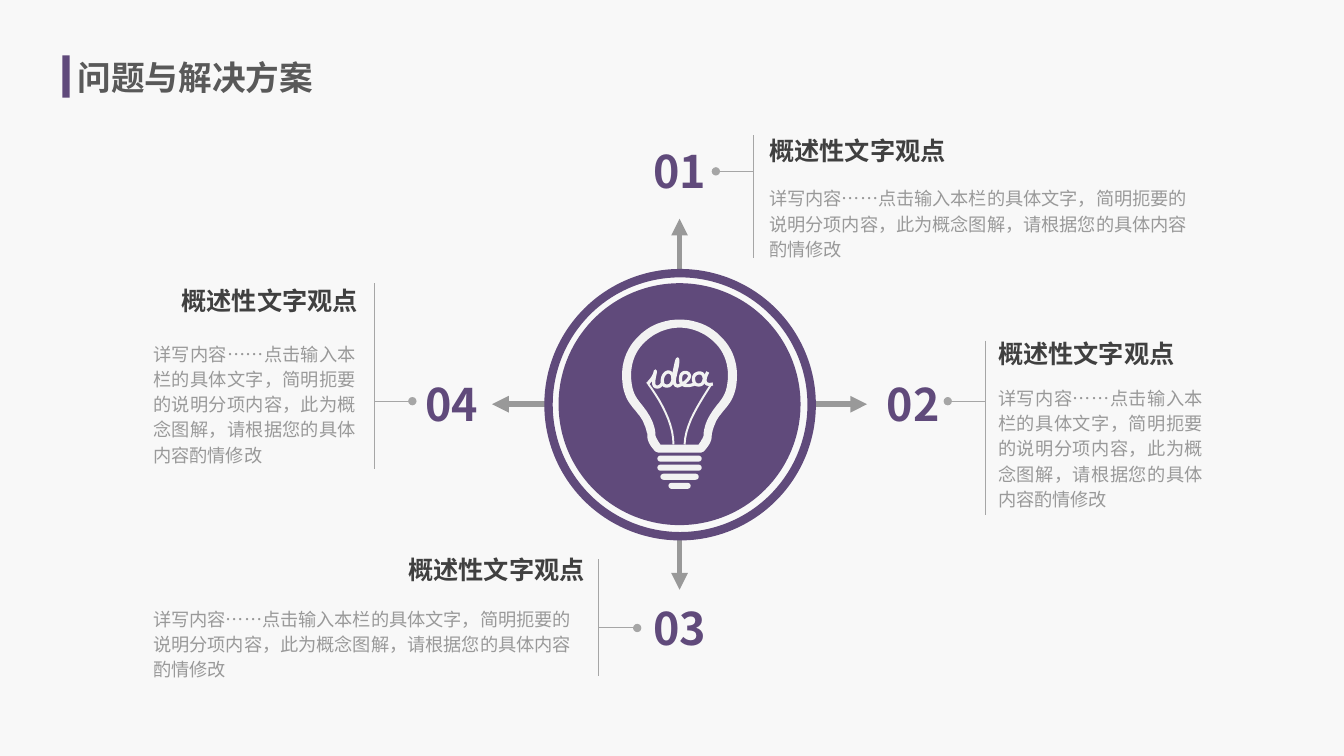
from lxml.etree import SubElement
from pptx import Presentation
from pptx.dml.color import RGBColor
from pptx.enum.shapes import MSO_CONNECTOR, MSO_SHAPE
from pptx.enum.text import MSO_ANCHOR, MSO_AUTO_SIZE, PP_ALIGN
from pptx.oxml.ns import qn
from pptx.util import Inches, Pt

FONT = "Noto Sans CJK SC"
COLOURS = {name: RGBColor.from_string(value) for name, value in {
    "background": "F8F8F8", "purple": "604A7B", "arrow": "999999",
    "rule": "A6A6A6", "heading": "404040", "body": "999999",
    "title": "595959", "bulb": "F2F2F2"}.items()}
FORMATS = {
    "title": {"size": Pt(24), "bold": True},
    "heading": {"size": Pt(18), "bold": True},
    "body": {"size": Pt(13), "bold": False},
    "purple": {"size": Pt(32), "bold": True}}
HEADING = "概述性文字观点"
BODY = "详写内容……点击输入本栏的具体文字，简明扼要的说明分项内容，此为概念图解，请根据您的具体内容酌情修改"
CENTRE_X, CENTRE_Y = 6.74, 4.01
UNITS = 1000  # freeform units per inch; freeform points are whole numbers

presentation = Presentation()
presentation.slide_width, presentation.slide_height = Inches(13.33), Inches(7.5)
slide = presentation.slides.add_slide(presentation.slide_layouts[5])
slide.background.fill.solid()
slide.background.fill.fore_color.rgb = COLOURS["background"]
shapes = slide.shapes


def write(shape, text, style, align=PP_ALIGN.LEFT, margin=0, anchor=MSO_ANCHOR.TOP):
    """Fill a text shape with one formatted paragraph."""
    frame = shape.text_frame
    for side in ("left", "top", "right", "bottom"):
        setattr(frame, f"margin_{side}", Inches(margin))
    frame.word_wrap = True
    frame.auto_size = MSO_AUTO_SIZE.SHAPE_TO_FIT_TEXT
    frame.vertical_anchor = anchor
    paragraph = frame.paragraphs[0]
    paragraph.alignment = align
    if style == "body":
        paragraph.line_spacing = Pt(18)
    run = paragraph.add_run()
    run.text = text
    run.font.name = FONT
    run.font.color.rgb = COLOURS[style]
    for name, value in FORMATS[style].items():
        setattr(run.font, name, value)
    SubElement(run.font._element, qn("a:ea"), typeface=FONT)


def bezier_points(start, curves, steps=10):
    """Sample a chain of cubic curves, each (control, control, end)."""
    points = [start]
    for first, second, end in curves:
        for step in range(1, steps + 1):
            t = step / steps
            weights = ((1 - t) ** 3, 3 * t * (1 - t) ** 2, 3 * t * t * (1 - t), t ** 3)
            points.append(tuple(sum(w * p[axis] for w, p in zip(weights, (start, first, second, end)))
                                for axis in (0, 1)))
        start = end
    return points


# Title
title = shapes.title
title.left, title.top, title.width, title.height = map(Inches, (0.72, 0.51, 4.23, 0.5))
write(title, "问题与解决方案", "title", margin=0.05, anchor=MSO_ANCHOR.MIDDLE)

# Arrows from the ring, then the rules beside each text block
lines = [(CENTRE_X + dx * 1.32, CENTRE_Y + dy * 1.32, CENTRE_X + dx * 1.86, CENTRE_Y + dy * 1.84,
          "arrow", 4, "triangle") for dx, dy in ((0, -1), (1, 0), (0, 1), (-1, 0))]
for rule_x, rule_top, rule_bottom, dot_x, dot_y in (
        (7.47, 1.34, 2.56, 7.1, 1.7), (9.77, 3.38, 5.11, 9.4, 3.98),
        (5.94, 5.55, 6.71, 6.32, 6.23), (3.71, 2.81, 4.65, 4.09, 3.98)):
    lines.append((rule_x, rule_top, rule_x, rule_bottom, "rule", 0.75, None))
    lines.append((rule_x, dot_y, dot_x, dot_y, "rule", 0.75, "oval"))
for *ends, colour, width, arrowhead in lines:
    connector = shapes.add_connector(MSO_CONNECTOR.STRAIGHT, *map(Inches, ends))
    connector.line.color.rgb = COLOURS[colour]
    connector.line.width = Pt(width)
    if arrowhead:
        SubElement(connector.line._get_or_add_ln(), qn("a:tailEnd"), type=arrowhead)
    SubElement(connector._element.spPr, qn("a:effectLst"))

# Ring, disc, title bar and the screw base of the bulb
ring = shapes.add_shape(MSO_SHAPE.OVAL, *map(Inches, (5.44, 2.71, 2.61, 2.61)))
ring.shadow.inherit = False
ring.fill.background()
ring.line.color.rgb = COLOURS["purple"]
ring.line.width = Pt(6)
solids = [(MSO_SHAPE.OVAL, 5.54, 2.81, 2.4, 2.4, "purple"),
          (MSO_SHAPE.RECTANGLE, 0.62, 0.55, 0.07, 0.42, "purple")]
for row, width in enumerate((0.44, 0.44, 0.38, 0.22)):
    solids.append((MSO_SHAPE.ROUNDED_RECTANGLE, CENTRE_X - width / 2, 4.52 + row * 0.09,
                   width, 0.06, "bulb"))
for kind, *box, colour in solids:
    solid = shapes.add_shape(kind, *map(Inches, box))
    solid.shadow.inherit = False
    solid.fill.solid()
    solid.fill.fore_color.rgb = COLOURS[colour]
    solid.line.fill.background()
    if kind == MSO_SHAPE.ROUNDED_RECTANGLE:
        solid.adjustments[0] = 0.5

# Glass: right half of each contour, mirrored about the centre
glass_halves = (
    ((0, 3.17), (((.16, 3.17), (.3, 3.23), (.4, 3.33)), ((.51, 3.43), (.57, 3.57), (.57, 3.72)),
                 ((.57, 3.91), (.51, 3.99), (.44, 4.07)), ((.41, 4.11), (.37, 4.15), (.35, 4.21)),
                 ((.33, 4.25), (.33, 4.28), (.32, 4.3)), ((.32, 4.35), (.32, 4.39), (.24, 4.48)),
                 ((.23, 4.48), (.22, 4.49), (.21, 4.49)))),
    ((0, 3.25), (((.13, 3.25), (.26, 3.31), (.34, 3.39)), ((.43, 3.47), (.48, 3.59), (.48, 3.72)),
                 ((.48, 3.88), (.43, 3.95), (.37, 4.02)), ((.34, 4.06), (.3, 4.11), (.27, 4.18)),
                 ((.25, 4.23), (.24, 4.27), (.24, 4.3)), ((.24, 4.33), (.23, 4.35), (.19, 4.41)))))
glass = []
for start, curves in glass_halves:
    half = bezier_points(start, curves)
    glass.append([(CENTRE_X + x, y) for x, y in half]
                 + [(CENTRE_X - x, y) for x, y in reversed(half)])

filaments = [
    bezier_points((7.05, 3.82), [((6.93, 4.01), (6.8, 4.2), (6.79, 4.41))]),
    bezier_points((6.43, 3.81), [((6.55, 3.97), (6.68, 4.2), (6.68, 4.41))])]
lettering = [
    bezier_points((6.42, 3.81), [
        ((6.47, 3.76), (6.49, 3.73), (6.5, 3.68)), ((6.5, 3.73), (6.45, 3.84), (6.52, 3.84)),
        ((6.54, 3.84), (6.56, 3.82), (6.57, 3.8)), ((6.56, 3.75), (6.59, 3.69), (6.63, 3.69)),
        ((6.7, 3.7), (6.68, 3.83), (6.62, 3.83)), ((6.59, 3.83), (6.57, 3.82), (6.57, 3.78))]),
    bezier_points((6.67, 3.76), [
        ((6.69, 3.7), (6.7, 3.6), (6.72, 3.56)), ((6.74, 3.63), (6.64, 3.82), (6.72, 3.83)),
        ((6.76, 3.82), (6.83, 3.78), (6.84, 3.73)), ((6.83, 3.68), (6.75, 3.68), (6.75, 3.75)),
        ((6.74, 3.85), (6.84, 3.83), (6.89, 3.81)), ((6.86, 3.74), (6.89, 3.7), (6.94, 3.7)),
        ((7, 3.7), (7, 3.82), (6.93, 3.82)), ((6.9, 3.82), (6.88, 3.8), (6.88, 3.77))]),
    bezier_points((7.02, 3.69), [((6.97, 3.78), (6.99, 3.83), (7.07, 3.81))])]

for contours, stroke in ((glass, None), (filaments, 1.4), (lettering, 2.3)):
    contours = [[(x * UNITS, y * UNITS) for x, y in points] for points in contours]
    builder = shapes.build_freeform(*contours[0][0], scale=Inches(1) / UNITS)
    for number, points in enumerate(contours):
        if number:
            builder.move_to(*points[0])
        builder.add_line_segments(points[1:], close=stroke is None)
    drawing = builder.convert_to_shape()
    drawing.shadow.inherit = False
    if stroke is None:
        drawing.fill.solid()
        drawing.fill.fore_color.rgb = COLOURS["bulb"]
        drawing.line.fill.background()
    else:
        drawing.fill.background()
        drawing.line.color.rgb = COLOURS["bulb"]
        drawing.line.width = Pt(stroke)

# Numbers, headings and descriptions
left, right, justify = PP_ALIGN.LEFT, PP_ALIGN.RIGHT, PP_ALIGN.JUSTIFY
blocks = (
    ((6.39, 1.43), (7.63, 1.34, 3.1), left, (7.63, 1.83, 4.3, 0.76), left),
    ((8.71, 3.74), (9.9, 3.36, 2.03), left, (9.9, 3.81, 2.03, 1.26), justify),
    ((6.39, 5.96), (3.77, 5.5, 2.03), right, (1.52, 6, 4.25, 0.76), left),
    ((4.13, 3.74), (1.52, 2.83, 2.03), right, (1.52, 3.37, 2.01, 1.26), justify))
for number, (number_at, heading_box, heading_align, body_box, body_align) in enumerate(blocks, 1):
    for box, text, style, align in (
            ((*number_at, 0.7, 0.54), f"{number:02}", "purple", PP_ALIGN.CENTER),
            ((*heading_box, 0.35), HEADING, "heading", heading_align),
            (body_box, BODY, "body", body_align)):
        write(shapes.add_textbox(*map(Inches, box)), text, style, align)

presentation.save("out.pptx")
